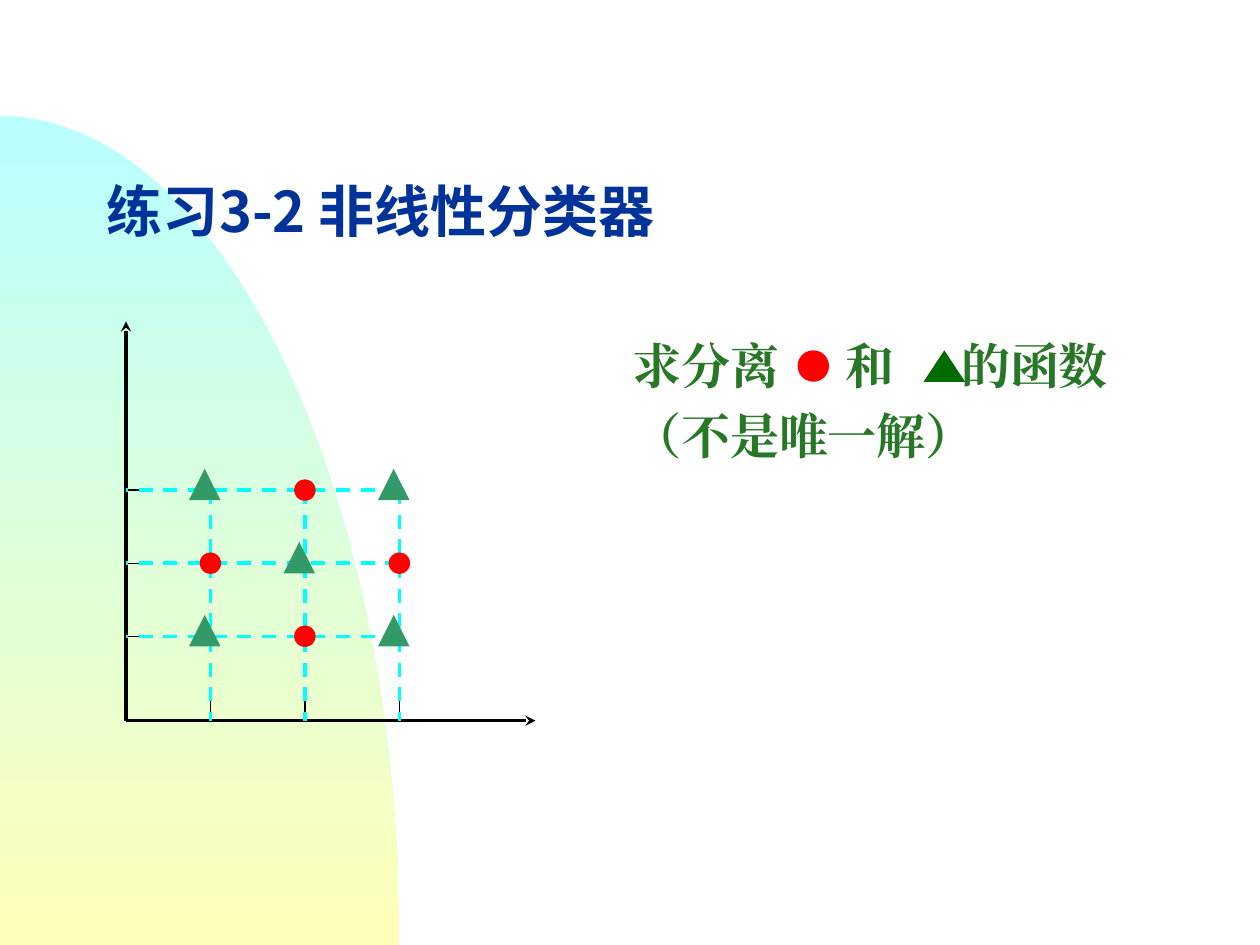
"""Builds a slide with an exercise on non-linear classifiers."""
import math

import lxml.etree
import pptx
import pptx.dml.color
import pptx.enum.dml
import pptx.enum.shapes
import pptx.enum.text
import pptx.oxml.ns
import pptx.util

WIDTH, HEIGHT = 10, 7.5
TITLE = ["练习3-2 非线性分类器"]
TASK = ["求分离\t和\t的函数", "（不是唯一解）"]
TASK_TABS = [1.69, 2.61]
CLASSES = ["tct", "ctc", "tct"]
ORIGIN = (1, 5.72)
AXIS_ENDS = [(4.25, 5.72), (1, 2.55)]
COLUMNS = [1.67 + 0.75 * i for i in range(3)]
ROWS = [3.89 + 0.58 * i for i in range(3)]
TICK = 0.17
DOT, PEAK = 0.17, 0.25
BLACK, CYAN, RED, GREEN = "000000", "00FFFF", "FF0000", "339966"
SHAPE = pptx.enum.shapes.MSO_SHAPE

inch = pptx.util.Inches


def color(value):
    return pptx.dml.color.RGBColor.from_string(value)


def add_element(parent, tag, **attributes):
    return lxml.etree.SubElement(parent, pptx.oxml.ns.qn(tag), attributes)


def add_backdrop(page, radius_x=3.17, radius_y=6.58, steps=90):
    angles = [math.pi / 2 * i / steps for i in range(steps + 1)]
    arc = [(inch(radius_x * math.sin(a)), inch(HEIGHT - radius_y * math.cos(a))) for a in angles]
    builder = page.shapes.build_freeform(*arc[0])
    builder.add_line_segments(arc[1:] + [(0, inch(HEIGHT))], close=True)
    backdrop = builder.convert_to_shape()
    backdrop.shadow.inherit = False
    backdrop.line.fill.background()
    backdrop.fill.gradient()
    backdrop.fill.gradient_angle = 270
    for stop, position, value in zip(backdrop.fill.gradient_stops, (0, 1), ("B9FFFF", "FFFFB9")):
        stop.position = position
        stop.color.rgb = color(value)


def add_text(page, area, lines, font, size, value, anchor, tabs=(), gap=0):
    box = page.shapes.add_textbox(*map(inch, area))
    frame = box.text_frame
    frame.word_wrap = True
    frame.vertical_anchor = anchor
    for index, line in enumerate(lines):
        para = frame.paragraphs[0] if index == 0 else frame.add_paragraph()
        para.text = line
        if index:
            para.space_before = pptx.util.Pt(gap)
        properties = para._p.get_or_add_pPr()
        if "\t" in line:
            tab_list = add_element(properties, "a:tabLst")
            for tab in tabs:
                add_element(tab_list, "a:tab", pos=str(inch(tab)), algn="l")
        para.font.size = pptx.util.Pt(size)
        para.font.bold = True
        para.font.color.rgb = color(value)
        para.font.name = font
        add_element(properties.find(pptx.oxml.ns.qn("a:defRPr")), "a:ea", typeface=font)


def add_line(page, start, end, value, width, dashed=False, arrow=False):
    line = page.shapes.add_connector(
        pptx.enum.shapes.MSO_CONNECTOR.STRAIGHT, *map(inch, start + end))
    line.line.color.rgb = color(value)
    line.line.width = pptx.util.Pt(width)
    if dashed:
        line.line.dash_style = pptx.enum.dml.MSO_LINE.DASH
    if arrow:
        add_element(line.line._get_or_add_ln(), "a:tailEnd", type="stealth")
    add_element(line._element.spPr, "a:effectLst")


def add_marker(page, kind, left, top, width, height, value):
    marker = page.shapes.add_shape(kind, *map(inch, (left, top, width, height)))
    marker.shadow.inherit = False
    marker.fill.solid()
    marker.fill.fore_color.rgb = color(value)
    marker.line.fill.background()


def add_plot(page):
    left, bottom = ORIGIN
    for end in AXIS_ENDS:
        add_line(page, ORIGIN, end, BLACK, 2, arrow=True)
    for x in COLUMNS:
        add_line(page, (x, bottom - TICK), (x, bottom), BLACK, 0.75)
    for y in ROWS:
        add_line(page, (left + TICK, y), (left, y), BLACK, 0.75)
    for x in COLUMNS:
        add_line(page, (x, ROWS[0]), (x, bottom), CYAN, 2, dashed=True)
    for y in ROWS:
        add_line(page, (COLUMNS[-1], y), (left, y), CYAN, 2, dashed=True)
    for y, row in zip(ROWS, CLASSES):
        for x, name in zip(COLUMNS, row):
            if name == "c":
                add_marker(page, SHAPE.OVAL, x - DOT / 2, y - DOT / 2, DOT, DOT, RED)
            else:
                add_marker(page, SHAPE.ISOSCELES_TRIANGLE, x - TICK, y - TICK, PEAK, PEAK, GREEN)


def main():
    deck = pptx.Presentation()
    deck.slide_width, deck.slide_height = inch(WIDTH), inch(HEIGHT)
    page = deck.slides.add_slide(deck.slide_layouts[6])
    anchors = pptx.enum.text.MSO_ANCHOR
    add_backdrop(page)
    add_text(page, (0.75, 1.33, 4.8, 0.67), TITLE, "Noto Sans CJK SC", 32, "003399", anchors.MIDDLE)
    add_text(page, (4.92, 2.61, 4.67, 1.42), TASK, "Times New Roman", 28, "277727",
             anchors.TOP, TASK_TABS, 6.4)
    add_plot(page)
    add_marker(page, SHAPE.OVAL, 6.33, 2.78, 0.25, 0.25, RED)
    add_marker(page, SHAPE.ISOSCELES_TRIANGLE, 7.33, 2.78, 0.33, 0.25, "006C00")
    deck.save("out.pptx")


if __name__ == "__main__":
    main()
